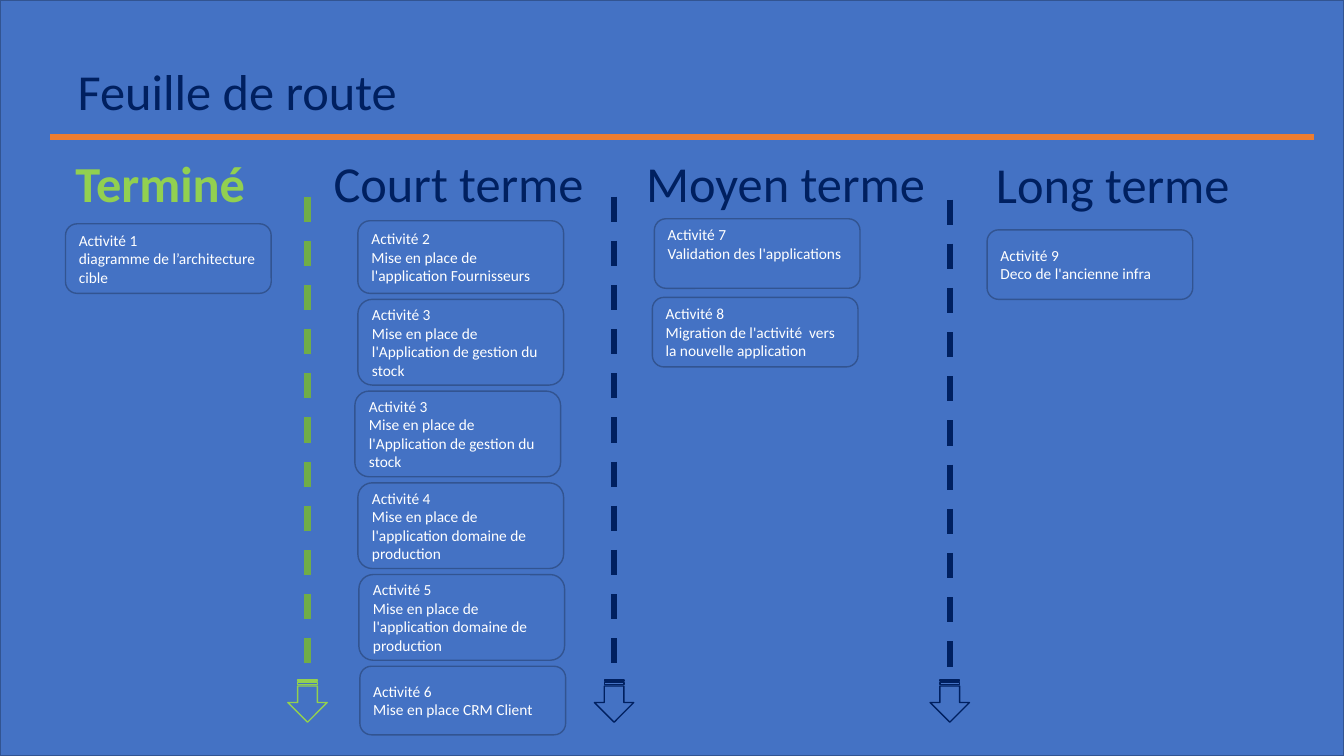
import pptx
import pptx.util
import pptx.dml.color
import pptx.enum.dml
import pptx.enum.shapes
import pptx.enum.text
import pptx.oxml.ns
import lxml.etree

Inches = pptx.util.Inches
Shapes = pptx.enum.shapes.MSO_SHAPE
Anchor = pptx.enum.text.MSO_ANCHOR
FONT = "Calibri"
COLORS = {"blue": "4472C4", "outline": "325491", "navy": "002060", "orange": "ED7D31",
          "lime": "92D050", "green": "70AD47", "white": "FFFFFF"}
CARD_WIDTH = 2.04
LINE_HEIGHT = 0.19

# Cards: (shift from the column's left, height, text)
COLUMNS = [
    {"heading": "Terminé", "color": "lime", "bold": True, "box": (0.65, 1.46, 3.82, 0.71),
     "first": 0.76, "gap": 0, "cards": [
         (0, 0.69, "Activité\u00a01\ndiagramme de l’architecture cible")]},
    {"heading": "Court terme", "color": "navy", "bold": False, "box": (3.21, 1.46, 3.82, 0.71),
     "first": 0.73, "gap": 0.06, "cards": [
         (0.34, 0.72, "Activité 2\nMise en place de l'application Fournisseurs"),
         (0.34, 0.85, "Activité 3\nMise en place de l'Application de gestion du stock"),
         (0.31, 0.85, "Activité 3\nMise en place de l'Application de gestion du stock"),
         (0.34, 0.85, "Activité 4\nMise en place de l'application domaine de production"),
         (0.35, 0.85, "Activité 5\nMise en place de l'application domaine de production"),
         (0.36, 0.68, "Activité\u00a06\nMise en place CRM Client")]},
    {"heading": "Moyen terme", "color": "navy", "bold": False, "box": (6.31, 1.46, 3.82, 0.71),
     "first": 0.71, "gap": 0.09, "cards": [
         (0.18, 0.69, "Activité 7\nValidation des l'applications"),
         (0.16, 0.69, "Activité\u00a08\nMigration de l'activité  vers la nouvelle application")]},
    {"heading": "Long terme", "color": "navy", "bold": False, "box": (9.78, 1.47, 3.5, 0.71),
     "first": 0.81, "gap": 0, "cards": [
         (0.01, 0.69, "Activité\u00a09\nDeco de l'ancienne infra")]},
]
RAISED_CARD = "Activité 7"

# Dividers: (centre, top, dash color, arrow color)
DIVIDERS = [(3.05, 1.95, "green", "lime"), (6.09, 1.95, "navy", "navy"),
            (9.42, 1.98, "navy", "navy")]


def rgb(name):
    """Return the named color."""
    return pptx.dml.color.RGBColor.from_string(COLORS[name])


def set_text(shape, text, size, color, bold=False, anchor=Anchor.TOP):
    """Write left-aligned text in a shape and format its runs."""
    frame = shape.text_frame
    frame.text = text
    frame.word_wrap = True
    frame.auto_size = pptx.enum.text.MSO_AUTO_SIZE.NONE
    frame.vertical_anchor = anchor
    for paragraph in frame.paragraphs:
        paragraph.alignment = pptx.enum.text.PP_ALIGN.LEFT
        for run in paragraph.runs:
            run.font.name = FONT
            run.font.size = pptx.util.Pt(size)
            run.font.bold = bold
            run.font.color.rgb = rgb(color)


def add_outlined(slide, kind, box, line_color, filled=True):
    """Add a thinly outlined preset shape."""
    shape = slide.shapes.add_shape(kind, *map(Inches, box))
    shape.shadow.inherit = False
    if filled:
        shape.fill.solid()
        shape.fill.fore_color.rgb = rgb("blue")
    else:
        shape.fill.background()
    shape.line.color.rgb = rgb(line_color)
    shape.line.width = pptx.util.Pt(1)
    return shape


def add_rule(slide, start, end, color, dashed=False):
    """Add a thick straight line, optionally dashed."""
    line = slide.shapes.add_connector(pptx.enum.shapes.MSO_CONNECTOR.STRAIGHT,
                                      *map(Inches, start + end))
    line.line.color.rgb = rgb(color)
    line.line.width = pptx.util.Pt(4.5)
    if dashed:
        line.line.dash_style = pptx.enum.dml.MSO_LINE.DASH
    lxml.etree.SubElement(line._element.spPr, pptx.oxml.ns.qn("a:effectLst"))


def add_background(slide, width, height):
    """Color the slide and frame its edge."""
    slide.background.fill.solid()
    slide.background.fill.fore_color.rgb = rgb("blue")
    add_outlined(slide, Shapes.RECTANGLE, (0, 0, width, height), "outline", filled=False)


def add_header(slide, box):
    """Place the title in its box with the orange rule below."""
    left, top, width, height = box
    title = slide.shapes.title
    title.left, title.top, title.width, title.height = map(Inches, box)
    set_text(title, "Feuille de route", 36, "navy")
    rule_top = top + height + 0.1
    add_rule(slide, (left - 0.17, rule_top), (left + 12.36, rule_top), "orange")


def add_column(slide, column):
    """Place a heading in the column's box and stack its cards below."""
    left, top = column["box"][:2]
    heading = slide.shapes.add_textbox(*map(Inches, column["box"]))
    set_text(heading, column["heading"], 36, column["color"], column["bold"])
    card_top = top + column["first"]
    for shift, height, text in column["cards"]:
        card = add_outlined(slide, Shapes.ROUNDED_RECTANGLE,
                            (left + shift, card_top, CARD_WIDTH, height), "outline")
        set_text(card, text, 11, "white", anchor=Anchor.MIDDLE)
        if text.startswith(RAISED_CARD):
            card.text_frame.margin_bottom = Inches(0.05 + LINE_HEIGHT)
        card_top += height + column["gap"]


def add_divider(slide, center, top, dash_color, arrow_color):
    """Draw a dashed vertical line ending in a striped down arrow."""
    add_rule(slide, (center, top), (center, top + 4.77), dash_color, dashed=True)
    arrow = add_outlined(slide, Shapes.STRIPED_RIGHT_ARROW,
                         (center - 0.21, 6.76, 0.42, 0.39), arrow_color)
    arrow.rotation = 90


def build_roadmap(presentation):
    """Build the roadmap slide."""
    slide = presentation.slides.add_slide(presentation.slide_layouts[5])
    add_background(slide, 13.33, 7.5)
    add_header(slide, (0.67, 0.55, 3.82, 0.71))
    for divider in DIVIDERS:
        add_divider(slide, *divider)
    for column in COLUMNS:
        add_column(slide, column)


presentation = pptx.Presentation()
presentation.slide_width = Inches(13.33)
presentation.slide_height = Inches(7.5)
build_roadmap(presentation)
presentation.save("out.pptx")
